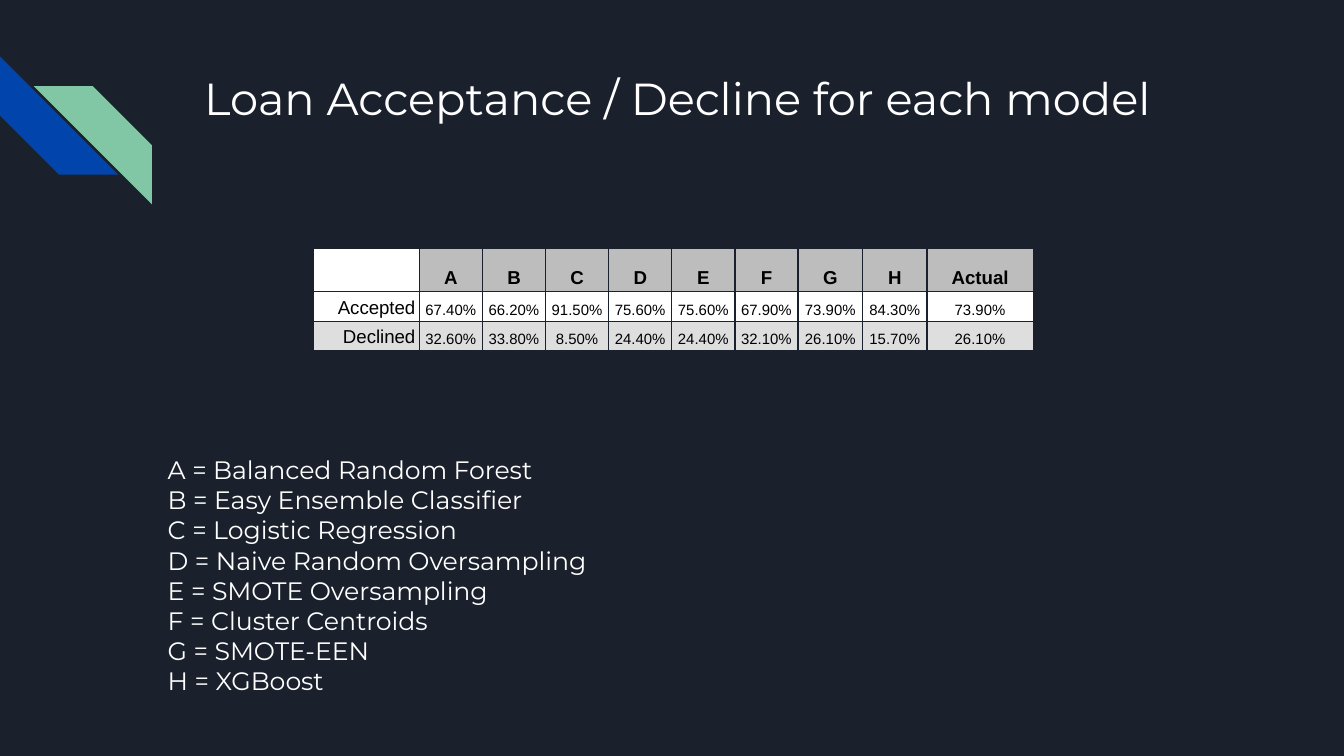
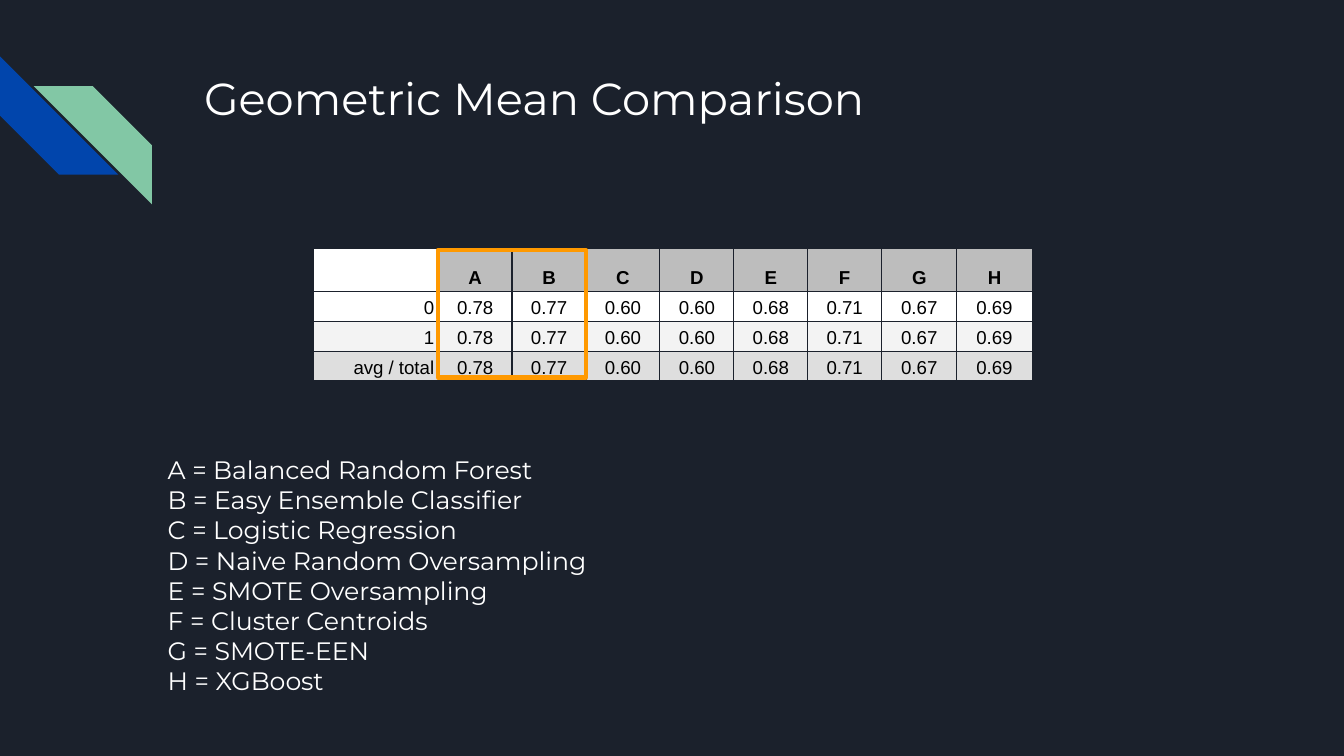
from lxml.etree import SubElement
from pptx import Presentation
from pptx.dml.color import RGBColor as RGB
from pptx.enum.shapes import MSO_SHAPE as SHAPE
from pptx.enum.text import MSO_ANCHOR as ANCHOR, PP_ALIGN as ALIGN
from pptx.oxml.ns import qn
from pptx.util import Inches, Pt

COLORS = {
    "background": "1B212C",
    "blue": "0145AC",
    "green": "82C7A5",
    "text": "FFFFFF",
    "cell_text": "000000",
    "header": "BDBDBD",
    "plain": "FFFFFF",
    "band": "F3F3F3",
    "last": "DEDEDE",
    "highlight": "FF9900",
}
TITLE_BOX = (1.42, 0.43, 7.7, 1)
LEGEND_BOX = (1.15, 3.28, 7.7, 2.09)
STRIPES_BOX = (0, 0.42, 1.13, 1.1)
TABLE_AT = (2.33, 1.85)
HEADER_H, ROW_H = 0.32, 0.22

MODELS = {
    "A": "Balanced Random Forest",
    "B": "Easy Ensemble Classifier",
    "C": "Logistic Regression",
    "D": "Naive Random Oversampling",
    "E": "SMOTE Oversampling",
    "F": "Cluster Centroids",
    "G": "SMOTE-EEN",
    "H": "XGBoost",
}
ACCEPTED = [67.4, 66.2, 91.5, 75.6, 75.6, 67.9, 73.9, 84.3, 73.9]
GEO_MEANS = [0.78, 0.77, 0.60, 0.60, 0.68, 0.71, 0.67, 0.69]


def rgb(name):
    """Return the named colour."""
    return RGB.from_string(COLORS[name])


def add_stripes(slide, box):
    """Draw the two diagonal stripes in the corner of the box."""
    x, y, w, h = box
    size = 0.88
    for left, top, color, angle, flip in (
        (x, y, "blue", 270, False),
        (x + w - size, y + h - size, "green", 0, True),
    ):
        s = slide.shapes.add_shape(
            SHAPE.DIAGONAL_STRIPE, Inches(left), Inches(top), Inches(size), Inches(size))
        s.adjustments[0] = 0.5
        s.rotation = angle
        if flip:
            s._element.spPr.find(qn("a:xfrm")).set("flipH", "1")
        s.shadow.inherit = False
        s.fill.solid()
        s.fill.fore_color.rgb = rgb(color)
        s.line.fill.background()


def add_text(slide, box, lines, size):
    """Write white lines of text from the top of the box."""
    tf = slide.shapes.add_textbox(*map(Inches, box)).text_frame
    tf.word_wrap = True
    tf.vertical_anchor = ANCHOR.TOP
    tf.margin_left = tf.margin_right = tf.margin_top = tf.margin_bottom = Inches(0.1)
    tf.text = "\n".join(lines)
    for p in tf.paragraphs:
        for r in p.runs:
            r.font.size = Pt(size)
            r.font.name = "Montserrat"
            r.font.color.rgb = rgb("text")


def add_borders(cell):
    """Draw thin lines in the background colour around a cell."""
    tcPr = cell._tc.get_or_add_tcPr()
    for i, side in enumerate(("lnL", "lnR", "lnT", "lnB")):
        ln = SubElement(tcPr, qn(f"a:{side}"), w=str(Pt(0.75)))
        fill = SubElement(ln, qn("a:solidFill"))
        SubElement(fill, qn("a:srgbClr"), val=COLORS["background"])
        tcPr.insert(i, ln)


def format_cell(cell, text, color, align, size, bold):
    """Fill a cell and set its text."""
    cell.fill.solid()
    cell.fill.fore_color.rgb = rgb(color)
    add_borders(cell)
    cell.vertical_anchor = ANCHOR.BOTTOM
    cell.margin_left = cell.margin_right = Inches(0.03)
    cell.margin_top, cell.margin_bottom = Inches(0.01), Inches(0.02)
    p = cell.text_frame.paragraphs[0]
    p.text = text
    p.alignment = align
    p.line_spacing = 1.15
    for r in p.runs:
        r.font.size = Pt(size)
        r.font.name = "Arial"
        r.font.bold = bold
        r.font.color.rgb = rgb("cell_text")
    if not text:
        SubElement(p._p, qn("a:endParaRPr"), sz=str(size * 100))


def add_score_table(slide, at, widths, rows, value_size):
    """Place a table with a header row and right-aligned row labels."""
    heights = [HEADER_H] + [ROW_H] * (len(rows) - 1)
    table = slide.shapes.add_table(
        len(rows), len(widths), *map(Inches, (*at, sum(widths), sum(heights)))).table
    table.horz_banding = False
    table.first_row = False
    for column, width in zip(table.columns, widths):
        column.width = Inches(width)
    fills = ["header", "plain", "band", "last"]
    for i, row in enumerate(rows):
        table.rows[i].height = Inches(heights[i])
        fill = "last" if i == len(rows) - 1 else fills[i]
        for j, text in enumerate(row):
            format_cell(
                table.cell(i, j), text,
                "plain" if i == j == 0 else fill,
                ALIGN.CENTER if j else ALIGN.RIGHT,
                value_size if i and j else 10,
                i == 0)


def add_highlight(slide, box):
    """Outline the best columns."""
    s = slide.shapes.add_shape(SHAPE.RECTANGLE, *map(Inches, box))
    s.shadow.inherit = False
    s.fill.background()
    s.line.color.rgb = rgb("highlight")
    s.line.width = Pt(2.25)


def add_model_slide(prs, title, widths, rows, value_size, highlight=None):
    """Add a slide with a title, a score table and the model legend."""
    slide = prs.slides.add_slide(prs.slide_layouts[6])
    slide.background.fill.solid()
    slide.background.fill.fore_color.rgb = rgb("background")
    add_stripes(slide, STRIPES_BOX)
    add_score_table(slide, TABLE_AT, widths, rows, value_size)
    add_text(slide, TITLE_BOX, [title], 24)
    if highlight:
        add_highlight(slide, highlight)
    legend = [f"{key} = {name}" for key, name in MODELS.items()]
    add_text(slide, LEGEND_BOX, legend, 13.5)


def main():
    """Build the two slides."""
    prs = Presentation()
    prs.slide_width = Inches(10)
    prs.slide_height = prs.slide_width * 9 // 16
    add_model_slide(
        prs, "Loan Acceptance / Decline for each model",
        [0.79] + [0.47] * 6 + [0.48] * 2 + [0.79],
        [["", *MODELS, "Actual"],
         ["Accepted"] + [f"{v:.2f}%" for v in ACCEPTED],
         ["Declined"] + [f"{100 - v:.2f}%" for v in ACCEPTED]],
        8)
    means = [f"{v:.2f}" for v in GEO_MEANS]
    add_model_slide(
        prs, "Geometric Mean Comparison",
        [0.93] + [0.55] * 6 + [0.56] * 2,
        [["", *MODELS]] + [[label, *means] for label in ("0", "1", "avg / total")],
        10, highlight=(3.26, 1.86, 1.1, 0.95))
    prs.save("out.pptx")


if __name__ == "__main__":
    main()
